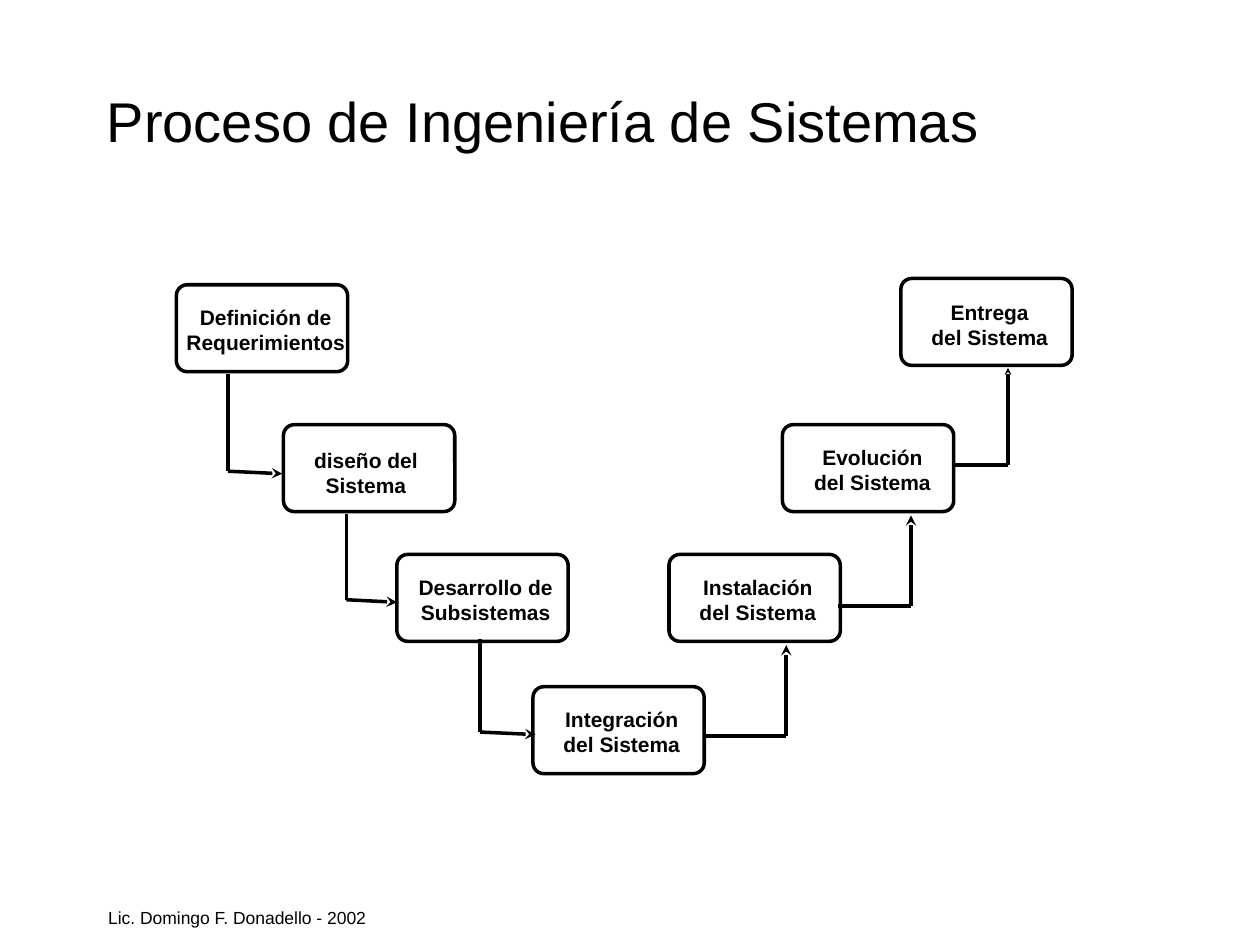
from dataclasses import dataclass

from lxml.etree import SubElement
from pptx import Presentation
from pptx.dml.color import RGBColor
from pptx.enum.shapes import MSO_CONNECTOR as Connector, MSO_SHAPE as Preset
from pptx.enum.text import MSO_ANCHOR as Anchor, PP_ALIGN as Align
from pptx.oxml.ns import qn
from pptx.slide import Slide
from pptx.util import Inches, Pt

Point = tuple[float, float]


@dataclass(frozen=True)
class Theme:
    font: str = "Arial"
    ink: RGBColor = RGBColor(0, 0, 0)
    paper: RGBColor = RGBColor(255, 255, 255)
    title: int = 32
    label: int = 12
    footer: int = 10
    stroke: int = 2


@dataclass(frozen=True)
class Stage:
    lines: tuple[str, str]
    left: float
    top: float
    label_left: float
    label_top: float
    label_width: float


@dataclass(frozen=True)
class Step:
    start: Point
    corner: Point
    end: Point
    head_size: str = "med"


THEME = Theme()
STAGE_WIDTH, STAGE_HEIGHT, LABEL_HEIGHT = 1.36, 0.69, 0.5

STAGES = (
    Stage(("Definición de", "Requerimientos"), 1.4, 2.26, 1.38, 2.37, 1.46),
    Stage(("diseño del", "Sistema"), 2.25, 3.37, 2.39, 3.5, 1.03),
    Stage(("Desarrollo de", "Subsistemas"), 3.15, 4.4, 3.22, 4.51, 1.27),
    Stage(("Integración", "del Sistema"), 4.23, 5.45, 4.37, 5.56, 1.13),
    Stage(("Instalación", "del Sistema"), 5.31, 4.4, 5.45, 4.51, 1.13),
    Stage(("Evolución", "del Sistema"), 6.21, 3.37, 6.36, 3.48, 1.13),
    Stage(("Entrega", "del Sistema"), 7.15, 2.21, 7.29, 2.33, 1.13),
)

STEPS = (
    Step((1.81, 2.97), (1.81, 3.74), (2.24, 3.76)),
    Step((2.75, 4.08), (2.75, 4.76), (3.15, 4.78)),
    Step((3.81, 5.07), (3.81, 5.81), (4.25, 5.83)),
    Step((5.59, 5.84), (6.24, 5.84), (6.24, 5.12)),
    Step((6.65, 4.81), (7.23, 4.81), (7.23, 4.09)),
    Step((7.58, 3.69), (8, 3.69), (8, 2.92), head_size="sm"),
)


def add_text(slide: Slide, lines: tuple[str, ...], left: float, top: float,
             width: float, height: float, *, size: int, bold: bool = False,
             align: Align = Align.LEFT, anchor: Anchor = Anchor.TOP,
             wrap: bool = False) -> None:
    box = slide.shapes.add_textbox(
        Inches(left), Inches(top), Inches(width), Inches(height))
    frame = box.text_frame
    frame.word_wrap = wrap
    frame.vertical_anchor = anchor
    frame.text = "\n".join(lines)
    for paragraph in frame.paragraphs:
        paragraph.alignment = align
        for run in paragraph.runs:
            run.font.name = THEME.font
            run.font.size = Pt(size)
            run.font.bold = bold
            run.font.color.rgb = THEME.ink


def add_stage(slide: Slide, stage: Stage) -> None:
    frame = slide.shapes.add_shape(
        Preset.ROUNDED_RECTANGLE, Inches(stage.left), Inches(stage.top),
        Inches(STAGE_WIDTH), Inches(STAGE_HEIGHT))
    frame.adjustments[0] = 0.125
    frame.shadow.inherit = False
    frame.fill.solid()
    frame.fill.fore_color.rgb = THEME.paper
    frame.line.color.rgb = THEME.ink
    frame.line.width = Pt(THEME.stroke)
    add_text(slide, stage.lines, stage.label_left, stage.label_top,
             stage.label_width, LABEL_HEIGHT, size=THEME.label, bold=True,
             align=Align.CENTER)


def add_line(slide: Slide, start: Point, end: Point,
             head_size: str | None = None) -> None:
    line = slide.shapes.add_connector(
        Connector.STRAIGHT, *(Inches(value) for value in start + end))
    line.line.color.rgb = THEME.ink
    line.line.width = Pt(THEME.stroke)
    if head_size:
        SubElement(line.line._get_or_add_ln(), qn("a:tailEnd"),
                   type="stealth", w=head_size, len=head_size)
    SubElement(line._element.spPr, qn("a:effectLst"))


def add_step(slide: Slide, step: Step) -> None:
    add_line(slide, step.start, step.corner)
    add_line(slide, step.corner, step.end, step.head_size)


def main() -> None:
    deck = Presentation()
    deck.slide_width, deck.slide_height = Inches(10), Inches(7.5)
    slide = deck.slides.add_slide(deck.slide_layouts[6])
    add_text(slide, ("Lic. Domingo F. Donadello - 2002",),
             0.76, 7.15, 2.26, 0.27, size=THEME.footer)
    add_text(slide, ("Proceso de Ingeniería de Sistemas",),
             0.75, 0.33, 8.5, 1.25, size=THEME.title,
             anchor=Anchor.MIDDLE, wrap=True)
    for stage in STAGES:
        add_stage(slide, stage)
    for step in STEPS:
        add_step(slide, step)
    deck.save("out.pptx")


if __name__ == "__main__":
    main()
